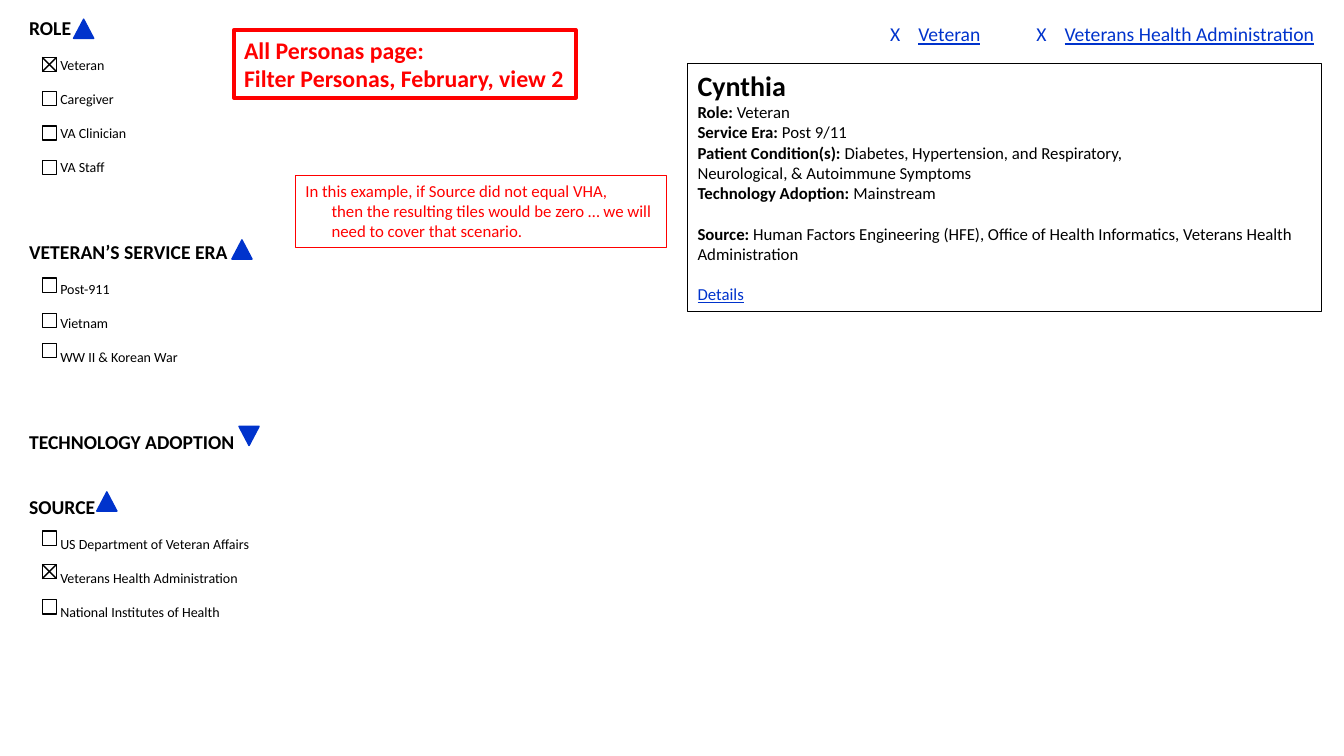
from pptx import Presentation
from pptx.dml.color import RGBColor
from pptx.enum.shapes import MSO_CONNECTOR, MSO_SHAPE
from pptx.enum.text import MSO_ANCHOR, MSO_AUTO_SIZE, PP_ALIGN
from pptx.oxml.ns import qn
from pptx.util import Inches, Pt
from lxml import etree

RECT, TRI = MSO_SHAPE.RECTANGLE, MSO_SHAPE.ISOSCELES_TRIANGLE
LINE = MSO_CONNECTOR.STRAIGHT
LEFT, TOP, NOFIT = PP_ALIGN.LEFT, MSO_ANCHOR.TOP, MSO_AUTO_SIZE.NONE
HUES = {"ink": "000000", "paper": "FFFFFF", "blue": "0033CC", "red": "FF0000"}
BOLD = {"bold": True}
LINK = {"underline": True}


def hue(name):
    return RGBColor.from_string(HUES[name])


class Page:
    face = "Calibri"
    side = 0.14

    def __init__(self, deck):
        self.slide = deck.slides.add_slide(deck.slide_layouts[5])
        self.shapes = self.slide.shapes

    def edge(self, item, color, width):
        item.line.color.rgb = hue(color)
        item.line.width = Pt(width)

    def shape(self, kind, x, y, w, h, fill, line, width):
        item = self.shapes.add_shape(kind, Inches(x), Inches(y), Inches(w), Inches(h))
        item.shadow.inherit = False
        if fill:
            item.fill.solid()
            item.fill.fore_color.rgb = hue(fill)
        else:
            item.fill.background()
        self.edge(item, line, width)
        return item

    def text(self, item, paras, size, color, wrap=True):
        frame = item.text_frame
        form = {"word_wrap": wrap, "auto_size": NOFIT, "vertical_anchor": TOP}
        for key, value in form.items():
            setattr(frame, key, value)
        for i, (runs, form) in enumerate(paras):
            para = frame.paragraphs[0] if i == 0 else frame.add_paragraph()
            para.alignment = LEFT
            para.space_before = Pt(form.get("gap", 0))
            props = para._p.get_or_add_pPr()
            props.set("marL", str(Inches(form.get("indent", 0))))
            if "tab" in form:
                tabs = etree.SubElement(props, qn("a:tabLst"))
                etree.SubElement(tabs, qn("a:tab"), pos=str(Inches(form["tab"])), algn="l")
            for words, style in runs:
                run = para.add_run()
                run.text = words
                base = {"name": self.face, "size": Pt(form.get("size", size)), "bold": False}
                for key, value in {**base, **style}.items():
                    setattr(run.font, key, value)
                run.font.color.rgb = hue(style_color(words, color))

    def title(self, x, y, w, h, lines):
        item = self.shapes.title
        spot = {"left": x, "top": y, "width": w, "height": h}
        for key, value in spot.items():
            setattr(item, key, Inches(value))
        self.edge(item, "red", 3)
        self.text(item, [([(line, BOLD)], {}) for line in lines], 17, "red", False)

    def label(self, x, y, w, h, paras, size, color):
        item = self.shapes.add_textbox(Inches(x), Inches(y), Inches(w), Inches(h))
        item.text_frame.margin_right = 0
        self.text(item, paras, size, color)

    def panel(self, x, y, w, h, paras, fill, color, width):
        item = self.shape(RECT, x, y, w, h, fill, color, width)
        self.text(item, paras, 12, color)

    def arrow(self, x, y, turn=0):
        self.shape(TRI, x, y, 0.2, 0.19, "blue", "blue", 1).rotation = turn

    def check(self, x, y, on):
        self.shape(RECT, x, y, self.side, self.side, "paper", "ink", 1)
        if on:
            low = y + self.side
            for start, end in ((y, low), (low, y)):
                self.line(x, start, x + self.side, end)

    def line(self, *ends):
        item = self.shapes.add_connector(LINE, *map(Inches, ends))
        self.edge(item, "ink", 1)
        etree.SubElement(item._element.spPr, qn("a:effectLst"))


def style_color(words, color):
    return "blue" if words == "Details" else color


GROUPS = [
    ("ROLE", 0, (0.73, 0.19, 0), [
        ("Veteran", 0.57, True), ("Caregiver", 0.91, False),
        ("VA Clinician", 1.25, False), ("VA Staff", 1.59, False)]),
    ("VETERAN’S SERVICE ERA", 46.4, (2.3, 2.38, 0), [
        ("Post-911", 2.76, False), ("Vietnam", 3.11, False),
        ("WW II & Korean War", 3.41, False)]),
    ("TECHNOLOGY ADOPTION", 46.4, (2.37, 4.23, 180), []),
    ("SOURCE", 29.3, (0.96, 4.88, 0), [
        ("US Department of Veteran Affairs", 5.27, False),
        ("Veterans Health Administration", 5.6, True),
        ("National Institutes of Health", 5.95, False)]),
]

CARD = [
    ([("Cynthia", BOLD)], {"size": 20}),
    ([("Role: ", BOLD), ("Veteran", {})], {}),
    ([("Service Era: ", BOLD), ("Post 9/11", {})], {}),
    ([("Patient Condition(s): ", BOLD),
      ("Diabetes, Hypertension, and Respiratory,", {})], {}),
    ([("Neurological, & Autoimmune Symptoms", {})], {}),
    ([("Technology Adoption: ", BOLD), ("Mainstream", {})], {}),
    ([("Source: ", BOLD),
      ("Human Factors Engineering (HFE), Office of Health Informatics, "
       "Veterans Health Administration", {})], {"gap": 14.6}),
    ([("Details", LINK)], {"gap": 14.6}),
]

NOTE = [
    ([("In this example, if Source did not equal VHA,", {})], {}),
    ([("then the resulting tiles would be zero … we will", {})], {"indent": 0.26}),
    ([("need to cover that scenario.", {})], {"indent": 0.26}),
]


def main():
    deck = Presentation()
    deck.slide_width, deck.slide_height = Inches(13.33), Inches(7.5)
    page = Page(deck)
    page.title(2.32, 0.3, 3.39, 0.67,
               ["All Personas page:", "Filter Personas, February, view 2"])

    menu = []
    for head, gap, _, rows in GROUPS:
        menu.append(([(head, BOLD)], {"size": 14, "gap": gap}))
        menu += [([(name, {})], {"gap": 12.2, "indent": 0.31}) for name, _, _ in rows]
    page.label(0.19, 0.11, 2.43, 6.09, menu, 10, "ink")
    for _, _, mark, rows in GROUPS:
        page.arrow(*mark)
        for _, y, on in rows:
            page.check(0.42, y, on)

    page.panel(6.82, 0.63, 6.29, 2.46, CARD, "paper", "ink", 0.75)
    page.panel(2.93, 1.74, 3.68, 0.71, NOTE, None, "red", 0.25)
    for x, w, name in ((8.73, 1.1, "Veteran"),
                       (10.18, 2.99, "Veterans Health Administration")):
        page.label(x, 0.17, w, 0.34, [([("X\t", {}), (name, LINK)], {"tab": 0.28})],
                   14, "blue")
    deck.save("out.pptx")


if __name__ == "__main__":
    main()
